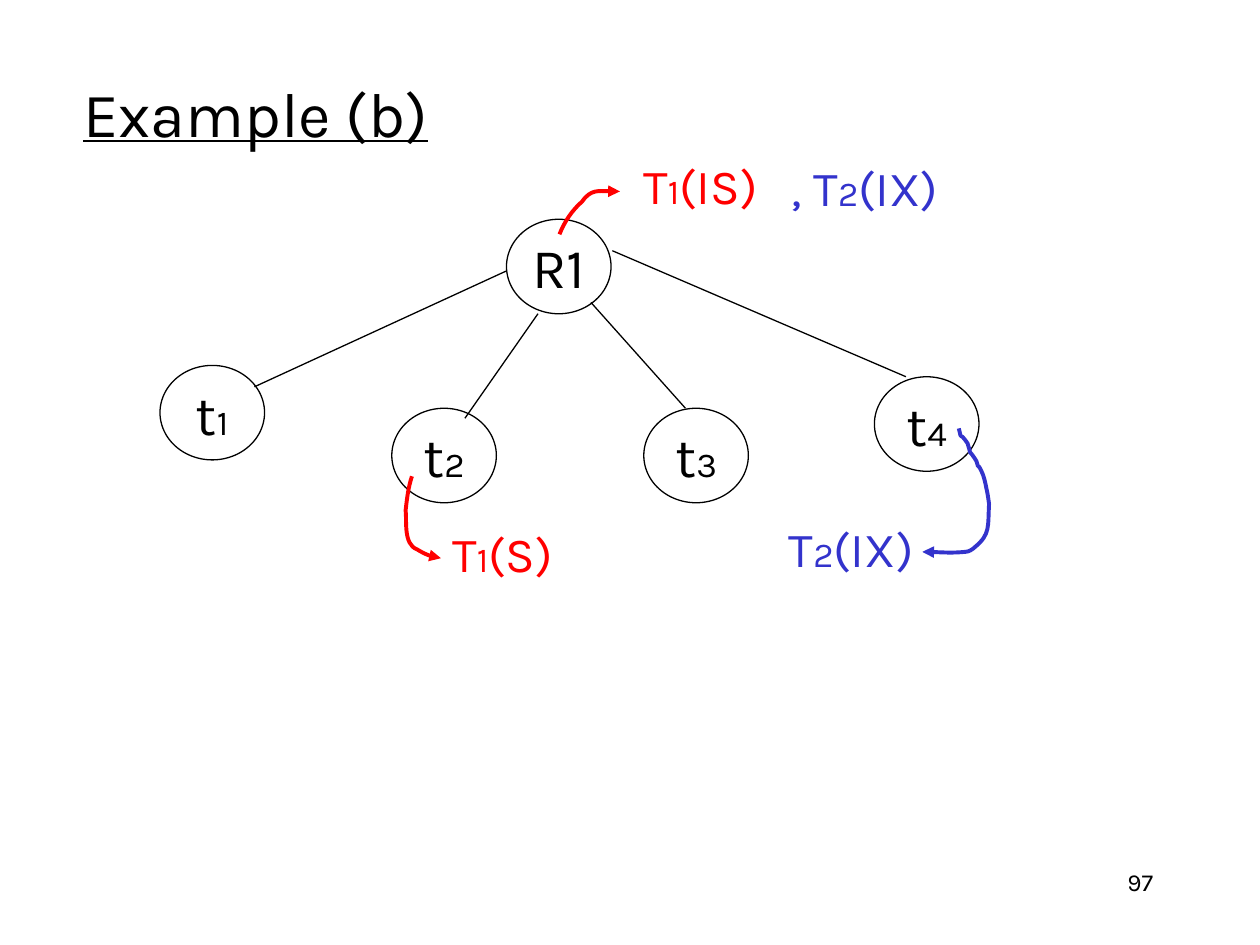
from dataclasses import dataclass

import pptx
import pptx.dml.color
import pptx.enum.shapes
import pptx.enum.text
import pptx.oxml
import pptx.oxml.ns
import pptx.util

FONT = "Karla"
BLACK, WHITE, RED, BLUE = "000000", "FFFFFF", "FF0000", "3333CC"
UNIT = 0.1  # inches; the slide is a grid of 100 columns by 75 rows
COLS, ROWS = 100, 75
NODE_W, NODE_H = 8.3, 7.5
ALIGN = pptx.enum.text.PP_ALIGN
MIDDLE = pptx.enum.text.MSO_ANCHOR.MIDDLE

Point = tuple[float, float]
Runs = list[tuple[str, int]]


@dataclass
class Node:
    col: float
    row: float
    name: str
    index: str = ""


@dataclass
class Label:
    col: float
    row: float
    width: float
    name: str
    index: str
    mode: str


@dataclass
class Transaction:
    color: str
    labels: list[Label]
    arrows: list[list[Point]]  # a start point, then three points per Bézier piece


NODES = [
    Node(40.2, 17.4, "R1"),
    Node(12.7, 29, "t", "1"),
    Node(31.1, 32.4, "t", "2"),
    Node(51.1, 32.4, "t", "3"),
    Node(69.4, 29.9, "t", "4"),
]
EDGES = [
    ((40.2, 21.5), (20.2, 30.7)),
    ((42.7, 24.9), (36.9, 33.2)),
    ((46.9, 24), (54.4, 32.4)),
    ((48.6, 19.9), (71.9, 29.9)),
]
TRANSACTIONS = [
    Transaction(
        RED,
        [Label(49.4, 11.8, 12.4, "T", "1", "(IS)"),
         Label(34.4, 41, 11, "T", "1", "(S)")],
        [[(44.4, 18.6), (44.8, 17.6), (45.4, 16.7), (46.2, 16),
          (46.9, 15), (48.1, 15.2), (49.2, 15.2)],
         [(32.7, 37.8), (32.4, 38.7), (32.3, 39.6), (32.2, 40.5),
          (32.3, 41.3), (32, 43.2), (33.1, 43.6),
          (33.6, 43.9), (34.4, 44.3), (35, 44.3)]],
    ),
    Transaction(
        BLUE,
        [Label(61.2, 12, 14.9, ", T", "2", "(IX)"),
         Label(61.3, 40.6, 12.5, "T", "2", "(IX)")],
        [[(76.1, 34), (76.4, 35.2), (76, 34), (76.8, 35.2),
          (76.9, 35.4), (76.9, 35.7), (77, 35.9),
          (77.2, 36.1), (77.5, 36.6), (77.5, 36.6),
          (77.8, 37.6), (77.4, 36.4), (77.9, 37.4),
          (78.1, 37.8), (78.2, 38.3), (78.3, 38.8),
          (78.4, 39.2), (78.5, 40), (78.5, 40),
          (78.4, 41.8), (78.6, 42.4), (77.4, 43.4),
          (77.2, 43.6), (76.9, 43.8), (76.6, 43.8),
          (75.5, 43.9), (74.4, 43.8), (73.2, 43.8)]],
    ),
]


def grid(*lengths: float) -> list[int]:
    return [pptx.util.Inches(n * UNIT) for n in lengths]


def rgb(color: str) -> pptx.dml.color.RGBColor:
    return pptx.dml.color.RGBColor.from_string(color)


def write(tf, runs: Runs, color: str, align=ALIGN.CENTER, wrap: bool = False) -> None:
    tf.word_wrap = wrap
    p = tf.paragraphs[0]
    p.alignment = align
    for text, size in runs:
        r = p.add_run()
        r.text = text
        r.font.name = FONT
        r.font.size = pptx.util.Pt(size)
        r.font.color.rgb = rgb(color)


def set_line(s, color: str, width: float) -> None:
    s.line.color.rgb = rgb(color)
    s.line.width = pptx.util.Pt(width)


def add_node(shapes, node: Node) -> None:
    s = shapes.add_shape(pptx.enum.shapes.MSO_SHAPE.OVAL,
                         *grid(node.col, node.row, NODE_W, NODE_H))
    s.shadow.inherit = False
    s.fill.solid()
    s.fill.fore_color.rgb = rgb(WHITE)
    set_line(s, BLACK, 0.75)
    s.text_frame.vertical_anchor = MIDDLE
    runs = [(node.name, 32)] + ([(node.index, 20)] if node.index else [])
    write(s.text_frame, runs, BLACK)


def add_edge(shapes, start: Point, end: Point) -> None:
    s = shapes.add_connector(pptx.enum.shapes.MSO_CONNECTOR.STRAIGHT, *grid(*start, *end))
    set_line(s, BLACK, 0.75)
    pptx.oxml.ns.qn("a:effectLst")
    s._element.spPr.append(pptx.oxml.parse_xml(
        f"<a:effectLst {pptx.oxml.ns.nsdecls('a')}/>"))


def add_label(shapes, label: Label, color: str) -> None:
    s = shapes.add_textbox(*grid(label.col, label.row, label.width, 5.7))
    tf = s.text_frame
    tf.vertical_anchor = MIDDLE
    write(tf, [(label.name, 28), (label.index, 20), (label.mode, 28)], color)
    tf.auto_size = pptx.enum.text.MSO_AUTO_SIZE.SHAPE_TO_FIT_TEXT


def add_curved_arrow(shapes, points: list[Point], color: str) -> None:
    """Draw straight pieces, then merge every three into one Bézier piece."""
    builder = shapes.build_freeform(*points[0], scale=pptx.util.Inches(UNIT) / 1.0)
    builder = shapes.build_freeform(*grid(*points[0]))
    builder.add_line_segments([grid(*point) for point in points[1:]], close=False)
    s = builder.convert_to_shape()
    s.shadow.inherit = False
    s.fill.background()
    set_line(s, color, 2.25)
    qn = pptx.oxml.ns.qn
    pieces = list(s._element.iter(qn("a:lnTo")))
    for i in range(0, len(pieces), 3):
        curve = pptx.oxml.parse_xml(f"<a:cubicBezTo {pptx.oxml.ns.nsdecls('a')}/>")
        pieces[i].addprevious(curve)
        for piece in pieces[i:i + 3]:
            curve.append(piece[0])
            piece.getparent().remove(piece)
    s.line._get_or_add_ln().append(pptx.oxml.parse_xml(
        f"<a:tailEnd {pptx.oxml.ns.nsdecls('a')} type='triangle'/>"))


def add_transaction(shapes, transaction: Transaction) -> None:
    group = shapes.add_group_shape()
    for label in transaction.labels:
        add_label(group.shapes, label, transaction.color)
    for points in transaction.arrows:
        add_curved_arrow(group.shapes, points, transaction.color)


def main() -> None:
    prs = pptx.Presentation()
    prs.slide_width, prs.slide_height = grid(COLS, ROWS)
    slide = prs.slides.add_slide(prs.slide_layouts[5])
    shapes = slide.shapes

    title = shapes.title
    title.left, title.top, title.width, title.height = grid(5.6, 4.3, 85, 9.2)
    title.text_frame.vertical_anchor = MIDDLE
    write(title.text_frame, [("Example (b)", 36)], BLACK, ALIGN.LEFT, wrap=True)
    title.text_frame.paragraphs[0].runs[0].font.underline = True

    number = shapes.add_textbox(*grid(71.7, 68.3, 20.8, 5))
    write(number.text_frame, [("97", 14)], BLACK, ALIGN.RIGHT, wrap=True)

    for node in NODES:
        add_node(shapes, node)
    for start, end in EDGES:
        add_edge(shapes, start, end)
    for transaction in TRANSACTIONS:
        add_transaction(shapes, transaction)
    prs.save("out.pptx")


if __name__ == "__main__":
    main()
